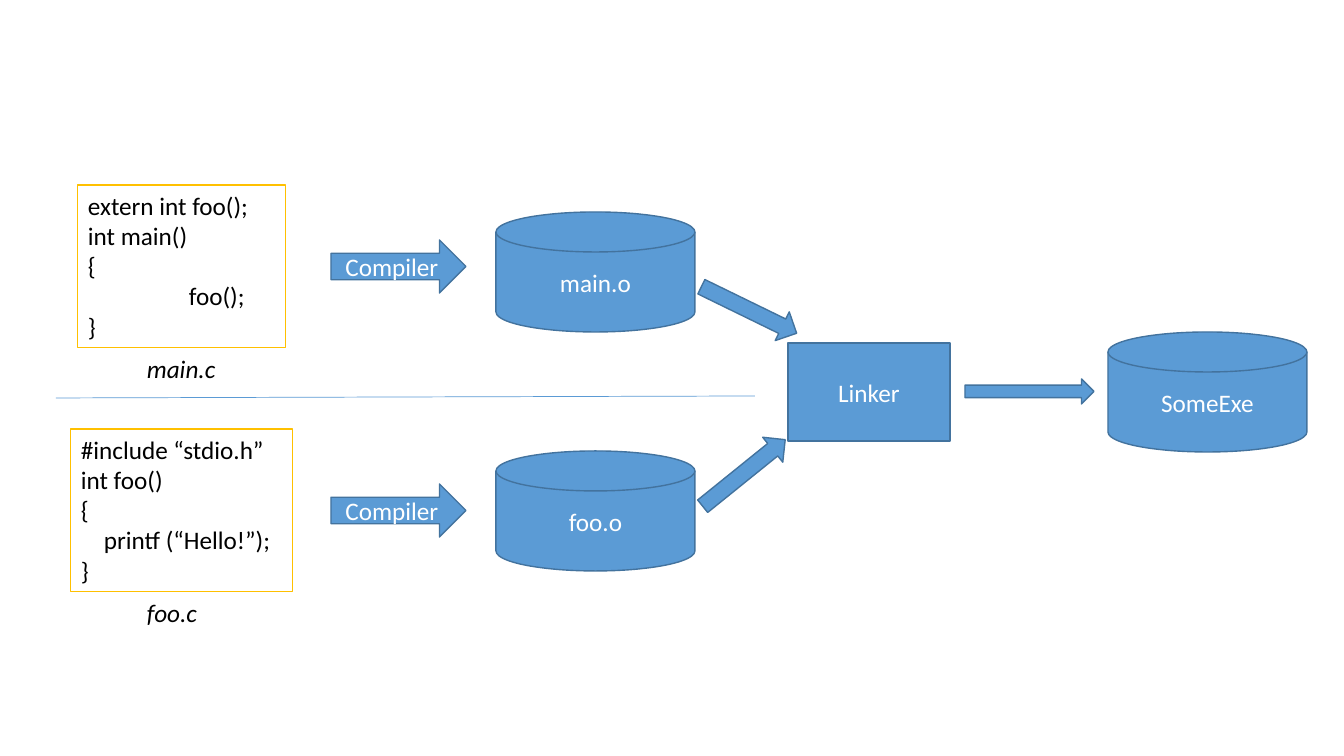
"""Builds a slide showing how two C files are compiled and linked into a program."""
from dataclasses import dataclass
from typing import Any

import lxml.etree
import pptx
import pptx.dml.color
import pptx.enum.shapes
import pptx.enum.text
import pptx.oxml.ns
import pptx.shapes.autoshape
import pptx.slide
import pptx.text.text
import pptx.util

EMU_PER_PX = 914400 / 100.8
SHAPES = pptx.enum.shapes.MSO_SHAPE
ALIGN = pptx.enum.text.PP_ALIGN
ANCHOR = pptx.enum.text.MSO_ANCHOR
AUTO_SIZE = pptx.enum.text.MSO_AUTO_SIZE


@dataclass(frozen=True)
class Theme:
    font: str = "Calibri"
    text_pt: float = 18
    block_fill: str = "5B9BD5"
    block_line: str = "43739E"
    block_line_pt: float = 1
    code_line: str = "FFC000"
    code_line_pt: float = 0.75
    divider: str = "5B9BD5"
    divider_pt: float = 0.5
    ink: str = "000000"
    block_ink: str = "FFFFFF"


@dataclass(frozen=True)
class Box:
    left: int
    top: int
    width: int
    height: int


@dataclass(frozen=True)
class Line:
    text: str
    indent: int = 0


@dataclass(frozen=True)
class SourceFile:
    name: str
    code_box: Box
    name_box: Box
    code: tuple[Line, ...]


@dataclass(frozen=True)
class Block:
    kind: pptx.enum.shapes.MSO_SHAPE
    box: Box
    label: str = ""
    rotation: float = 0


THEME = Theme()
ROW_STEP = 244
COMPILER_TOP = 240
DISK_WIDTH, DISK_HEIGHT = 199, 120

SOURCE_FILES = (
    SourceFile("main.c", Box(78, 185, 208, 163), Box(137, 348, 90, 40), (
        Line("extern int foo();"), Line("int main()"), Line("{"),
        Line("foo();", 101), Line("}"))),
    SourceFile("foo.c", Box(71, 185 + ROW_STEP, 222, 163),
               Box(137, 348 + ROW_STEP, 70, 40), (
        Line("#include “stdio.h”"), Line("int foo()"), Line("{"),
        Line("printf (“Hello!”);", 23), Line("}"))),
)

COMPILERS = tuple(
    Block(SHAPES.RIGHT_ARROW, Box(331, COMPILER_TOP + row * ROW_STEP, 135, 53), "Compiler")
    for row in range(2))

DISKS = tuple(
    Block(SHAPES.FLOWCHART_MAGNETIC_DISK, Box(left, top, DISK_WIDTH, DISK_HEIGHT), label)
    for label, left, top in (("main.o", 496, 212), ("foo.o", 496, 451), ("SomeExe", 1108, 332)))

LINKING = (
    Block(SHAPES.FLOWCHART_PROCESS, Box(788, 343, 162, 98), "Linker"),
    Block(SHAPES.RIGHT_ARROW, Box(696, 294, 106, 32), rotation=26),
    Block(SHAPES.RIGHT_ARROW, Box(691, 457, 106, 32), rotation=321.1),
    Block(SHAPES.RIGHT_ARROW, Box(965, 379, 129, 25)),
)


def px(length: int) -> pptx.util.Emu:
    return pptx.util.Emu(round(length * EMU_PER_PX))


def rgb(code: str) -> pptx.dml.color.RGBColor:
    return pptx.dml.color.RGBColor.from_string(code)


def place(box: Box) -> tuple[pptx.util.Emu, ...]:
    return px(box.left), px(box.top), px(box.width), px(box.height)


def apply(target: Any, formats: dict[str, Any]) -> None:
    for attribute, value in formats.items():
        setattr(target, attribute, value)


def write(frame: pptx.text.text.TextFrame, lines: tuple[Line, ...], ink: str,
          align: pptx.enum.text.PP_ALIGN, frame_formats: dict[str, Any],
          italic: bool = False) -> None:
    apply(frame, frame_formats)
    for index, line in enumerate(lines):
        paragraph = frame.add_paragraph() if index else frame.paragraphs[0]
        paragraph.alignment = align
        if line.indent:
            paragraph._p.get_or_add_pPr().set("marL", str(px(line.indent)))
        run = paragraph.add_run()
        run.text = line.text
        apply(run.font, {"name": THEME.font, "size": pptx.util.Pt(THEME.text_pt),
                         "italic": italic})
        run.font.color.rgb = rgb(ink)


def add_outlined(slide: pptx.slide.Slide, kind: pptx.enum.shapes.MSO_SHAPE, box: Box,
                 color: str, width_pt: float) -> pptx.shapes.autoshape.Shape:
    outlined = slide.shapes.add_shape(kind, *place(box))
    outlined.shadow.inherit = False
    outlined.line.color.rgb = rgb(color)
    outlined.line.width = pptx.util.Pt(width_pt)
    return outlined


def add_source_file(slide: pptx.slide.Slide, source: SourceFile) -> None:
    code = add_outlined(slide, SHAPES.RECTANGLE, source.code_box,
                        THEME.code_line, THEME.code_line_pt)
    code.fill.background()
    write(code.text_frame, source.code, THEME.ink, ALIGN.LEFT,
          {"word_wrap": True, "vertical_anchor": ANCHOR.TOP,
           "auto_size": AUTO_SIZE.SHAPE_TO_FIT_TEXT})
    caption = slide.shapes.add_textbox(*place(source.name_box))
    write(caption.text_frame, (Line(source.name),), THEME.ink, ALIGN.LEFT,
          {"word_wrap": False, "auto_size": AUTO_SIZE.SHAPE_TO_FIT_TEXT}, italic=True)


def add_block(slide: pptx.slide.Slide, block: Block) -> None:
    step = add_outlined(slide, block.kind, block.box, THEME.block_line, THEME.block_line_pt)
    step.fill.solid()
    step.fill.fore_color.rgb = rgb(THEME.block_fill)
    step.rotation = block.rotation
    if block.label:
        write(step.text_frame, (Line(block.label),), THEME.block_ink, ALIGN.CENTER,
              {"word_wrap": True, "vertical_anchor": ANCHOR.MIDDLE})


def add_divider(slide: pptx.slide.Slide) -> None:
    divider = slide.shapes.add_connector(
        pptx.enum.shapes.MSO_CONNECTOR.STRAIGHT, px(56), px(398), px(755), px(396))
    divider.line.color.rgb = rgb(THEME.divider)
    divider.line.width = pptx.util.Pt(THEME.divider_pt)
    lxml.etree.SubElement(divider._element.spPr, pptx.oxml.ns.qn("a:effectLst"))


def main() -> None:
    deck = pptx.Presentation()
    apply(deck, {"slide_width": px(1344), "slide_height": px(756)})
    slide = deck.slides.add_slide(deck.slide_layouts[6])
    for source in SOURCE_FILES:
        add_source_file(slide, source)
    add_divider(slide)
    for block in COMPILERS + DISKS + LINKING:
        add_block(slide, block)
    deck.save("out.pptx")


if __name__ == "__main__":
    main()
